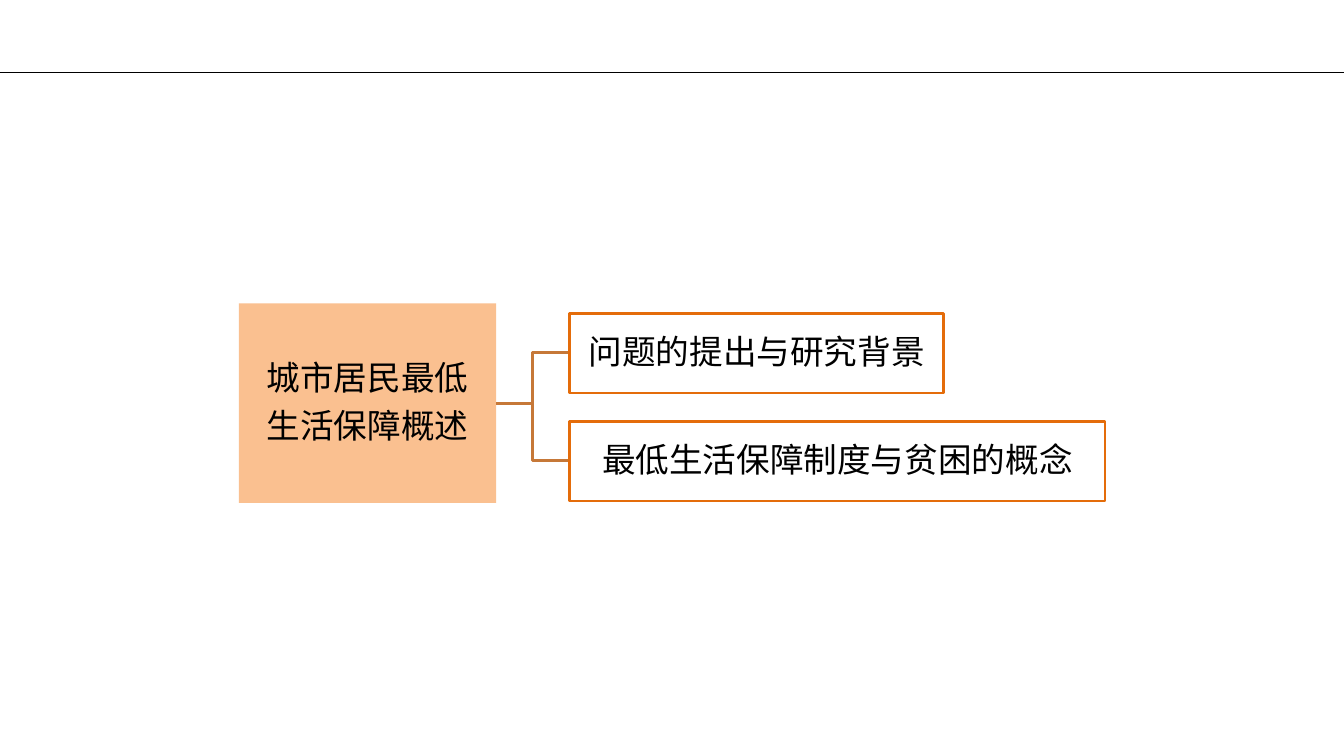
from lxml import etree
from pptx import Presentation
from pptx.dml.color import RGBColor
from pptx.enum.shapes import MSO_CONNECTOR, MSO_SHAPE
from pptx.enum.text import MSO_ANCHOR, PP_ALIGN
from pptx.oxml.ns import qn
from pptx.util import Pt

RECT = MSO_SHAPE.RECTANGLE
STRAIGHT = MSO_CONNECTOR.STRAIGHT
MIDDLE = MSO_ANCHOR.MIDDLE
CENTER = PP_ALIGN.CENTER

PX = 9144  # 100 px to the inch
WIDE, HIGH = 1333, 750
FONT = "Calibri"
COLORS = {
    "text": "000000",
    "rule": "000000",
    "root": "FAC090",
    "edge": "E46C0A",
    "link": "C67838",
}


def px(n):
    return n * PX


def color(name):
    return RGBColor.from_string(COLORS[name])


def stroke(line, name, width):
    line.color.rgb = color(name)
    line.width = Pt(width)


def add_rule(slide, y):
    rule = slide.shapes.add_connector(STRAIGHT, 0, px(y), px(WIDE), px(y))
    stroke(rule.line, "rule", 1)
    etree.SubElement(rule._element.spPr, qn("a:effectLst"))


def add_box(slide, x, y, w, h, lines, fill=None, edge=None):
    box = slide.shapes.add_shape(RECT, px(x), px(y), px(w), px(h))
    box.shadow.inherit = False
    if fill:
        box.fill.solid()
        box.fill.fore_color.rgb = color(fill)
    else:
        box.fill.background()
    if edge:
        stroke(box.line, edge, 2)
    else:
        box.line.fill.background()

    frame = box.text_frame
    frame.word_wrap = True
    frame.vertical_anchor = MIDDLE
    frame.margin_left = frame.margin_right = px(2)
    frame.margin_top = frame.margin_bottom = px(2)
    for i, text in enumerate(lines):
        para = frame.add_paragraph() if i else frame.paragraphs[0]
        para.alignment = CENTER
        para.line_spacing = 0.9
        para.space_after = Pt(8.4)
        run = para.add_run()
        run.text = text
        run.font.name = FONT
        run.font.size = Pt(24)
        run.font.color.rgb = color("text")


def add_elbow(slide, x1, y1, x2, y2):
    mid = (x1 + x2) // 2
    pen = slide.shapes.build_freeform(x1, y1, scale=PX)
    pen.add_line_segments([(mid, y1), (mid, y2), (x2, y2)], close=False)
    elbow = pen.convert_to_shape()
    elbow.shadow.inherit = False
    elbow.fill.background()
    stroke(elbow.line, "link", 2)


def main():
    prs = Presentation()
    prs.slide_width, prs.slide_height = px(WIDE), px(HIGH)
    slide = prs.slides.add_slide(prs.slide_layouts[6])

    # Header rule
    add_rule(slide, 72)

    # Root topic
    add_box(slide, 237, 301, 255, 198,
            ["城市居民最低", "生活保障概述"], fill="root")

    # Branches with their elbows
    left, top, high, step = 565, 311, 79, 107
    topics = [("问题的提出与研究背景", 371),
              ("最低生活保障制度与贫困的概念", 531)]
    for i, (text, wide) in enumerate(topics):
        y = top + i * step
        add_elbow(slide, 492, 400, left, y + high // 2)
        add_box(slide, left, y, wide, high, [text], edge="edge")

    prs.save("out.pptx")


if __name__ == "__main__":
    main()
